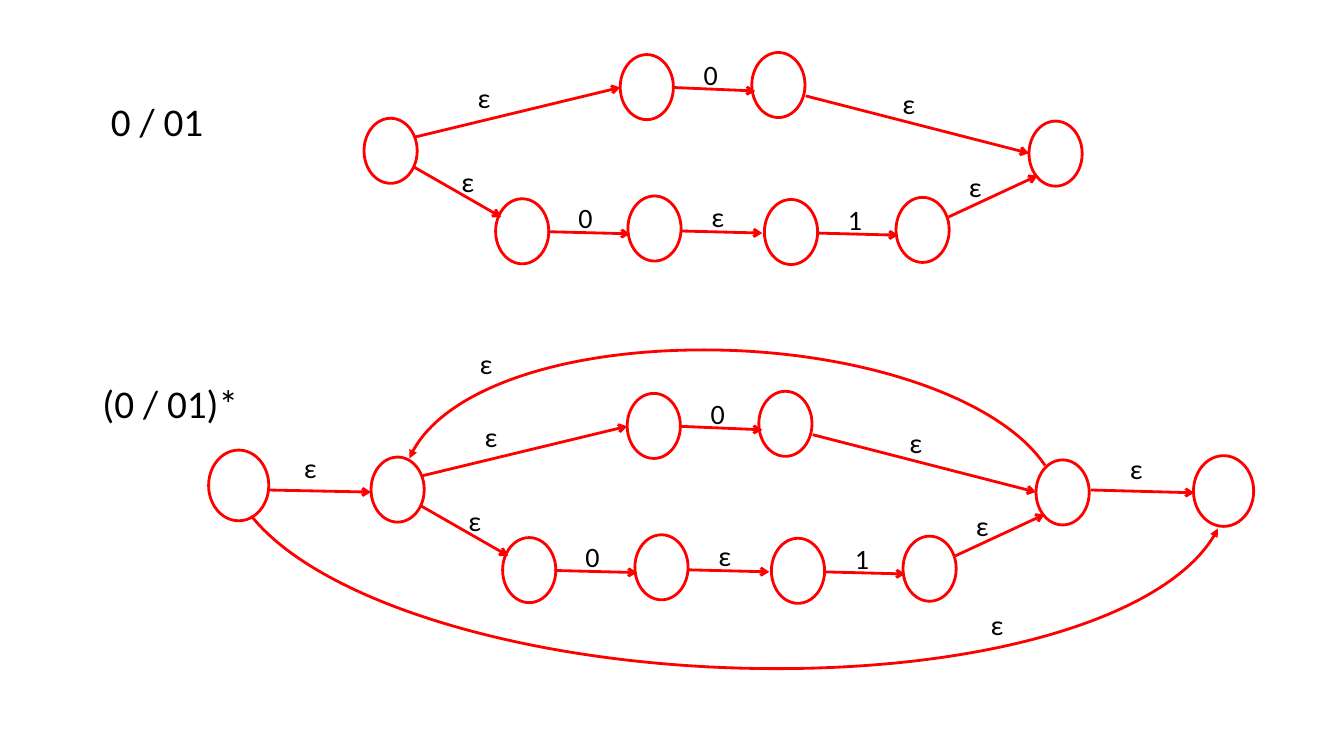
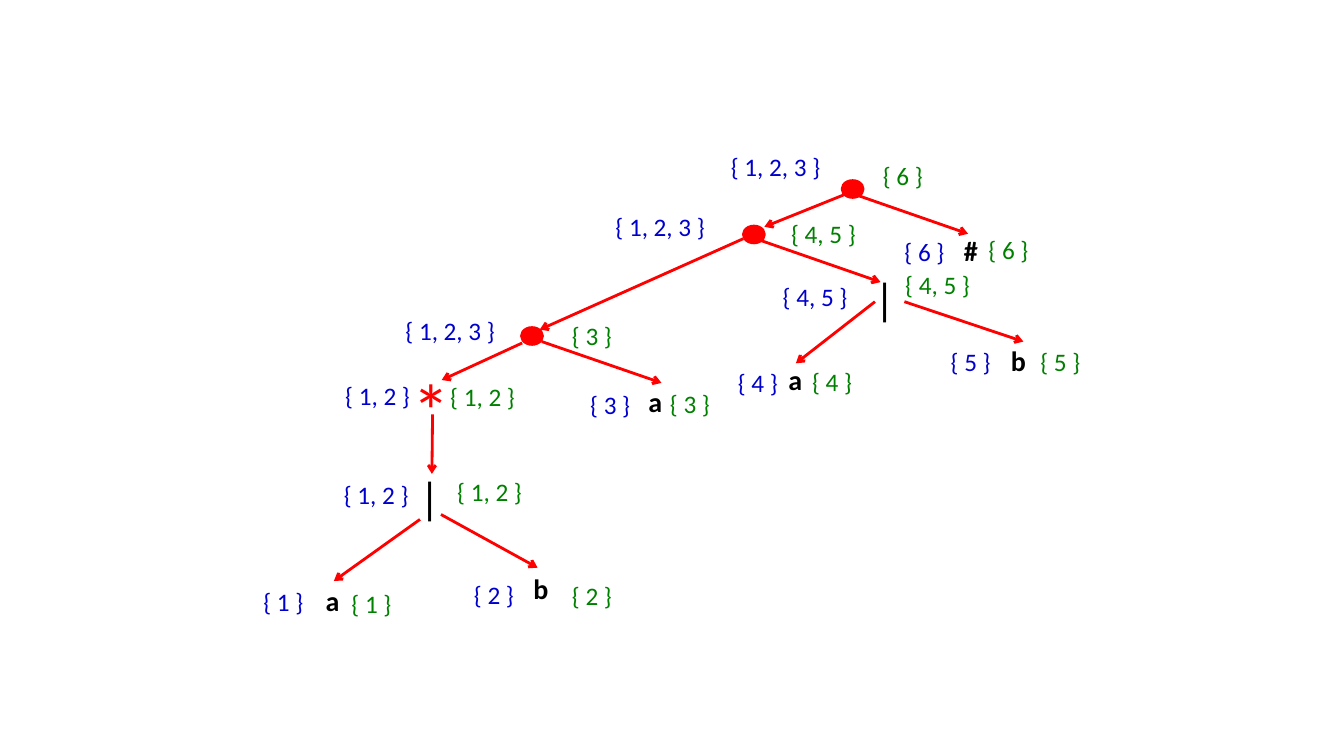
from lxml import etree
from pptx import Presentation
from pptx.dml.color import RGBColor
from pptx.enum.shapes import MSO_CONNECTOR, MSO_SHAPE
from pptx.enum.text import MSO_AUTO_SIZE
from pptx.oxml.ns import qn
from pptx.util import Pt

COLORS = {"edge": "FF0000", "text": "000000", "first": "0000CC", "last": "008000"}
FONT = "Calibri"
LINE_WIDTH = 2
TITLE_AND_CONTENT, BLANK = 1, 6
DOT = "•"

# name of the state: left, top
UNION_STATES = {
    "start": (0, 47), "end": (475, 49),
    "0 before": (183, 1.5), "0 after": (277, 0),
    "01 before": (94, 104.5), "01 after 0": (188.5, 102.5),
    "01 before 1": (286, 105), "01 after": (380, 103.5),
}
# arrow start, arrow end, label, label corner
UNION_MOVES = [
    ((36, 60.5), (183, 25), "ε", (74, 16.5)),
    ((36, 82), (98, 117.5), "ε", (62.5, 76.5)),
    ((220.5, 25), (279.5, 27.5), "0", (235.5, 0)),
    ((131, 128), (190, 129.5), "0", (146, 102.5)),
    ((226, 127.5), (284.5, 129), "ε", (241, 101.5)),
    ((323.5, 129), (381.5, 130.5), "1", (338.5, 103.5)),
    ((315.5, 31), (475, 72), "ε", (377.5, 21)),
    ((417.5, 117.5), (481, 88), "ε", (425, 80)),
]
STAR_STATES = {"start": (0, 72), "end": (703.5, 76)}
STAR_MOVES = [
    ((42, 100.5), (116, 102), "ε", (61, 69)),
    ((630, 100.5), (704, 102.5), "ε", (651, 69.5)),
]
# cubic curve points, label, label corner
STAR_CURVES = [
    ([(597.5, 83), (566, 35.5), (468, 2), (361.5, 0.5),
      (253.5, -1), (163, 30.5), (143.5, 78)], "ε", (186.5, -5.5)),
    ([(30.5, 119), (80, 181), (228.5, 225.5), (391, 228),
      (555, 230.5), (691, 189), (721, 128)], "ε", (551.5, 181)),
]

# symbol, corner, firstpos, corner, lastpos, corner
TREE_NODES = [
    (DOT, (420.5, 24.5), "{ 1, 2, 3 }", (334, 0), "{ 6 }", (442.5, 6.5)),
    (DOT, (350, 57), "{ 1, 2, 3 }", (251.5, 43), "{ 4, 5 }", (377, 48)),
    (DOT, (191.5, 129.5), "{ 1, 2, 3 }", (101.5, 117.5), "{ 3 }", (220.5, 121)),
    ("*", (106.5, 151), "{ 1, 2 }", (58.5, 163.5), "{ 1, 2 }", (133.5, 164)),
    ("|", (111.5, 227.5), "{ 1, 2 }", (57.5, 234.5), "{ 1, 2 }", (138.5, 232.5)),
    ("a", (44.5, 309), "{ 1 }", (0, 311), "{ 1 }", (63, 312.5)),
    ("b", (193, 300), "{ 2 }", (150.5, 306), "{ 2 }", (220.5, 306.5)),
    ("a", (275, 166.5), "{ 3 }", (233.5, 170), "{ 3 }", (290.5, 169)),
    ("|", (436.5, 85), "{ 4, 5 }", (371, 93), "{ 4, 5 }", (458.5, 84)),
    ("a", (375, 151), "{ 4 }", (339, 154), "{ 4 }", (392, 153.5)),
    ("b", (534, 137), "{ 5 }", (491, 139.5), "{ 5 }", (555, 139.5)),
    ("#", (500.5, 58.5), "{ 6 }", (458, 60.5), "{ 6 }", (518, 59)),
]
TREE_EDGES = [
    ((423.5, 34), (365, 57.5)), ((428.5, 34), (510.5, 62.5)),
    ((350, 66), (204.5, 131)), ((363, 67.5), (448, 97)),
    ((192, 140.5), (134.5, 167)), ((206, 139.5), (291.5, 169)),
    ((128, 191.5), (127.5, 234)),
    ((119, 266.5), (57.5, 310.5)), ((134, 263), (203, 301)),
    ((444, 111), (387.5, 155)), ((465, 111), (550, 139.5)),
]
# symbol: size, bold, colour
SYMBOL_STYLES = {"*": (54, False, "edge"), "|": (32, False, "text")}
LEAF_STYLE = (20, True, "text")


def rgb(color):
    return RGBColor.from_string(COLORS[color])


def shifted(origin, point):
    return origin[0] + point[0], origin[1] + point[1]


def style_line(line):
    line.color.rgb = rgb("edge")
    line.width = Pt(LINE_WIDTH)


def add_head(line, head):
    etree.SubElement(line._get_or_add_ln(), qn("a:tailEnd"), type=head)


def add_ellipse(slide, corner, size, filled=False):
    ellipse = slide.shapes.add_shape(
        MSO_SHAPE.OVAL, *(Pt(v) for v in (*corner, *size)))
    ellipse.shadow.inherit = False
    if filled:
        ellipse.fill.solid()
        ellipse.fill.fore_color.rgb = rgb("edge")
    else:
        ellipse.fill.background()
    style_line(ellipse.line)


def add_arrow(slide, start, end):
    arrow = slide.shapes.add_connector(
        MSO_CONNECTOR.STRAIGHT, *(Pt(v) for v in (*start, *end)))
    style_line(arrow.line)
    add_head(arrow.line, "arrow")
    etree.SubElement(arrow._element.spPr, qn("a:effectLst"))


def add_curved_arrow(slide, points):
    """Draw cubic segments: a start point, then three points a segment."""
    start, *rest = [(Pt(x), Pt(y)) for x, y in points]
    builder = slide.shapes.build_freeform(*start)
    builder.add_line_segments(rest, close=False)
    curve = builder.convert_to_shape()
    outline = curve._element.find(".//" + qn("a:path"))
    steps = outline.findall(qn("a:lnTo"))
    for first in range(0, len(steps), 3):
        segment = etree.SubElement(outline, qn("a:cubicBezTo"))
        for step in steps[first:first + 3]:
            segment.append(step[0])
            outline.remove(step)
    curve.shadow.inherit = False
    curve.fill.background()
    style_line(curve.line)
    add_head(curve.line, "triangle")


def add_label(slide, text, corner, size, font_size, color="text", bold=False):
    label = slide.shapes.add_textbox(*(Pt(v) for v in (*corner, *size)))
    frame = label.text_frame
    frame.word_wrap = True
    frame.text = text
    style_font(frame.paragraphs[0], font_size, color, bold)


def style_font(paragraph, size, color="text", bold=False):
    for run in paragraph.runs:
        run.font.name = FONT
        run.font.size = Pt(size)
        run.font.bold = bold
        run.font.color.rgb = rgb(color)


def add_automaton(slide, origin, states, state_size, moves, label_size):
    for corner in states.values():
        add_ellipse(slide, shifted(origin, corner), state_size)
    for start, end, symbol, corner in moves:
        add_arrow(slide, shifted(origin, start), shifted(origin, end))
        add_label(slide, symbol, shifted(origin, corner), label_size, 20)


def add_union(slide, origin):
    add_automaton(slide, origin, UNION_STATES, (38, 46.5), UNION_MOVES, (21, 22))


def add_star(slide, origin):
    """Wrap the union automaton in a new start, a new end and two curves."""
    label_size = (27, 27)
    add_union(slide, shifted(origin, (116, 30)))
    add_automaton(slide, origin, STAR_STATES, (43, 50.5), STAR_MOVES, label_size)
    for points, symbol, corner in STAR_CURVES:
        add_curved_arrow(slide, [shifted(origin, point) for point in points])
        add_label(slide, symbol, shifted(origin, corner), label_size, 20)


def add_expressions(slide):
    body = slide.placeholders[1]
    body.left, body.top, body.width, body.height = map(Pt, (66, 29.5, 828, 456.5))
    frame = body.text_frame
    frame.auto_size = MSO_AUTO_SIZE.NONE
    frame.margin_top = Pt(44)
    frame.text = "0 / 01\n(0 / 01)*"
    for paragraph, indent, gap in zip(frame.paragraphs, (6, 0), (0, 171)):
        paragraph.line_spacing = 0.9
        paragraph.space_before = Pt(gap)
        properties = paragraph._p.get_or_add_pPr()
        properties.set("marL", str(Pt(indent)))
        properties.set("indent", "0")
        etree.SubElement(properties, qn("a:buNone"))
        style_font(paragraph, 28)


def add_symbol(slide, symbol, corner):
    if symbol == DOT:
        add_ellipse(slide, corner, (15, 12), filled=True)
        return
    size, bold, color = SYMBOL_STYLES.get(symbol, LEAF_STYLE)
    add_label(slide, symbol, corner, (max(30, size), size * 1.2 + 8),
              size, color, bold)


def add_positions(slide, positions, corner, color):
    add_label(slide, positions, corner, (30 + 5.5 * len(positions), 29), 18, color)


def add_syntax_tree(slide, origin):
    for start, end in TREE_EDGES:
        add_arrow(slide, shifted(origin, start), shifted(origin, end))
    for symbol, corner, first, first_corner, last, last_corner in TREE_NODES:
        add_symbol(slide, symbol, shifted(origin, corner))
        add_positions(slide, first, shifted(origin, first_corner), "first")
        add_positions(slide, last, shifted(origin, last_corner), "last")


def build_automata_slide(deck):
    slide = deck.slides.add_slide(deck.slide_layouts[TITLE_AND_CONTENT])
    title = slide.shapes.title._element
    title.getparent().remove(title)
    add_expressions(slide)
    add_union(slide, (260, 37.5))
    add_star(slide, (149, 249.5))


def build_tree_slide(deck):
    slide = deck.slides.add_slide(deck.slide_layouts[BLANK])
    add_syntax_tree(slide, (181, 104.5))


def main():
    deck = Presentation()
    deck.slide_width, deck.slide_height = Pt(960), Pt(540)
    build_automata_slide(deck)
    build_tree_slide(deck)
    deck.save("out.pptx")


if __name__ == "__main__":
    main()
